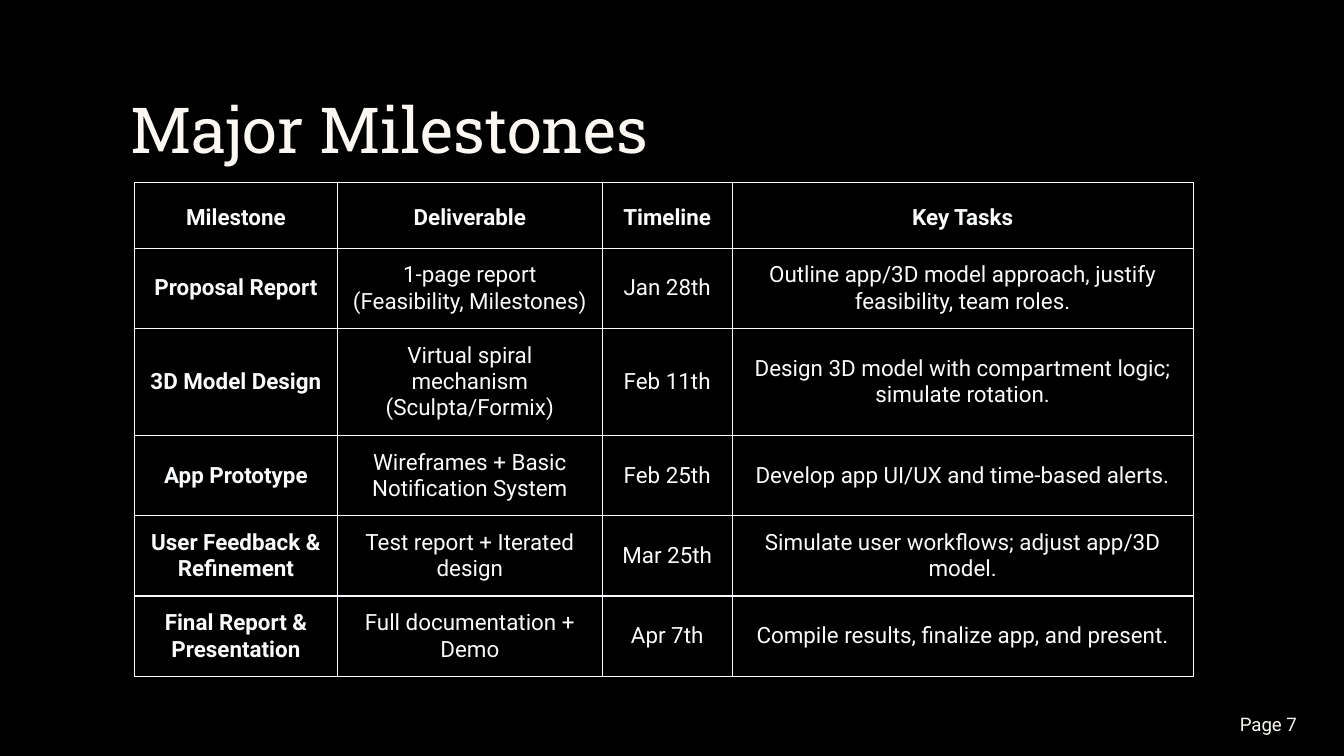
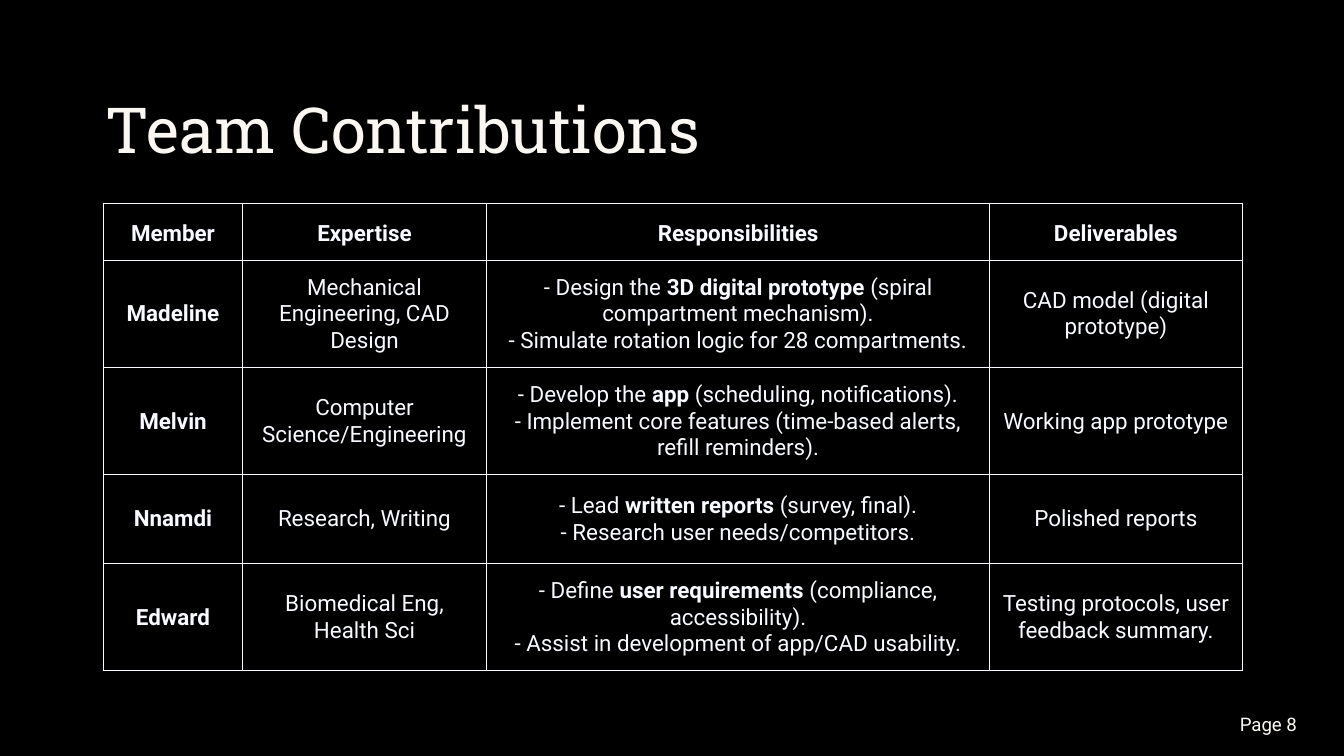
import lxml.etree
import pptx
import pptx.dml.color
import pptx.enum.text
import pptx.oxml.ns
import pptx.util

Cm = pptx.util.Cm
Pt = pptx.util.Pt
ALIGN = pptx.enum.text.PP_ALIGN
ANCHOR = pptx.enum.text.MSO_ANCHOR

COLORS = {
    "background": "000000",
    "cream": "FBF8F4",
    "border": "F8FAFF",
    "milestones": "F9FBFD",
    "team": "F8FAFF",
}
TITLE_FONT = {"name": "Roboto Slab", "size": Pt(34)}
FOOTER_FONT = {"name": "Roboto", "size": Pt(10)}
CELL_FONT = {"name": "Roboto", "size": Pt(12)}
INSET = Cm(0.25)
FRAME = {"margin_left": INSET, "margin_right": INSET,
         "margin_top": INSET, "margin_bottom": INSET, "word_wrap": True}
CELL = {"margin_left": INSET, "margin_right": INSET,
        "margin_top": INSET, "margin_bottom": INSET,
        "vertical_anchor": ANCHOR.MIDDLE}

# Asterisk pairs mark bold words; a line break starts a new paragraph.
PAGES = [
    {
        "title": "Major Milestones", "title_left": 2.21, "footer": "Page 7",
        "left": 2.54, "top": 3.45, "color": "milestones",
        "columns": [3.84, 5, 2.46, 8.71],
        "heights": [1.24, 1.12, 1.5, 1.12, 1.5, 1.12],
        "rows": [
            ["Milestone", "Deliverable", "Timeline", "Key Tasks"],
            ["Proposal Report", "1-page report (Feasibility, Milestones)", "Jan 28th",
             "Outline app/3D model approach, justify feasibility, team roles."],
            ["3D Model Design", "Virtual spiral mechanism (Sculpta/Formix)", "Feb 11th",
             "Design 3D model with compartment logic; simulate rotation."],
            ["App Prototype", "Wireframes + Basic Notification System", "Feb 25th",
             "Develop app UI/UX and time-based alerts."],
            ["User Feedback & Refinement", "Test report + Iterated design", "Mar 25th",
             "Simulate user workflows; adjust app/3D model."],
            ["Final Report & Presentation", "Full documentation + Demo", "Apr 7th",
             "Compile results, finalize app, and present."],
        ],
    },
    {
        "title": "Team Contributions", "title_left": 1.75, "footer": "Page 8",
        "left": 1.96, "top": 3.84, "color": "team",
        "columns": [2.62, 4.62, 9.5, 4.78],
        "heights": [0.61, 1.68, 1.12, 1.68, 1.7],
        "rows": [
            ["Member", "Expertise", "Responsibilities", "Deliverables"],
            ["Madeline", "Mechanical Engineering, CAD Design",
             "- Design the *3D digital prototype* (spiral compartment mechanism).\n"
             "- Simulate rotation logic for 28 compartments.",
             "CAD model (digital prototype)"],
            ["Melvin", "Computer Science/Engineering",
             "- Develop the *app* (scheduling, notifications).\n"
             "- Implement core features (time-based alerts, refill reminders).",
             "Working app prototype"],
            ["Nnamdi", "Research, Writing",
             "- Lead *written reports* (survey, final).\n"
             "- Research user needs/competitors.",
             "Polished reports"],
            ["Edward", "Biomedical Eng, Health Sci",
             "- Define *user requirements* (compliance, accessibility).\n"
             "- Assist in development of app/CAD usability.",
             "Testing protocols, user feedback summary."],
        ],
    },
]


def write_text(frame, text, font, color, align, bold=False, spacing=None):
    """Fill a text frame, one paragraph per line, with bold between asterisks."""
    for line_number, line in enumerate(text.split("\n")):
        para = frame.add_paragraph() if line_number else frame.paragraphs[0]
        para.alignment = align
        para.line_spacing = spacing
        for part_number, part in enumerate(line.split("*")):
            span = para.add_run()
            span.text = part
            span.font.bold = bold or part_number % 2 == 1
            span.font.color.rgb = pptx.dml.color.RGBColor.from_string(COLORS[color])
            for key, value in font.items():
                setattr(span.font, key, value)


def draw_borders(cell):
    properties = cell._tc.get_or_add_tcPr()
    for side in ("a:lnL", "a:lnR", "a:lnT", "a:lnB"):
        line = lxml.etree.SubElement(properties, pptx.oxml.ns.qn(side), w=str(Pt(0.75)))
        fill = lxml.etree.SubElement(line, pptx.oxml.ns.qn("a:solidFill"))
        lxml.etree.SubElement(fill, pptx.oxml.ns.qn("a:srgbClr"), val=COLORS["border"])


deck = pptx.Presentation()
deck.slide_width = Cm(25.4)
deck.slide_height = Cm(14.29)
black = pptx.dml.color.RGBColor.from_string(COLORS["background"])

for content in PAGES:
    page = deck.slides.add_slide(deck.slide_layouts[6])
    page.background.fill.solid()
    page.background.fill.fore_color.rgb = black

    labels = [
        (content["footer"], (16.43, 13.08, 8.33, 1.22), FOOTER_FONT, ALIGN.RIGHT, ANCHOR.MIDDLE),
        (content["title"], (content["title_left"], 1.45, 17.48, 3.07), TITLE_FONT,
         ALIGN.LEFT, ANCHOR.TOP),
    ]
    for text, place, font, align, anchor in labels:
        box = page.shapes.add_textbox(*map(Cm, place))
        for key, value in FRAME.items():
            setattr(box.text_frame, key, value)
        box.text_frame.vertical_anchor = anchor
        write_text(box.text_frame, text, font, "cream", align)

    rows, columns, heights = content["rows"], content["columns"], content["heights"]
    table = page.shapes.add_table(
        len(rows), len(columns), Cm(content["left"]), Cm(content["top"]),
        Cm(sum(columns)), Cm(sum(heights))).table
    table.horz_banding = False
    for column, width in zip(table.columns, columns):
        column.width = Cm(width)
    for row_number, texts in enumerate(rows):
        table.rows[row_number].height = Cm(heights[row_number])
        header = row_number == 0
        for column_number, text in enumerate(texts):
            cell = table.cell(row_number, column_number)
            for key, value in CELL.items():
                setattr(cell, key, value)
            draw_borders(cell)
            cell.fill.solid()
            cell.fill.fore_color.rgb = black
            write_text(cell.text_frame, text, CELL_FONT, content["color"], ALIGN.CENTER,
                       bold=header or column_number == 0, spacing=1.15 if header else None)

deck.save("out.pptx")
